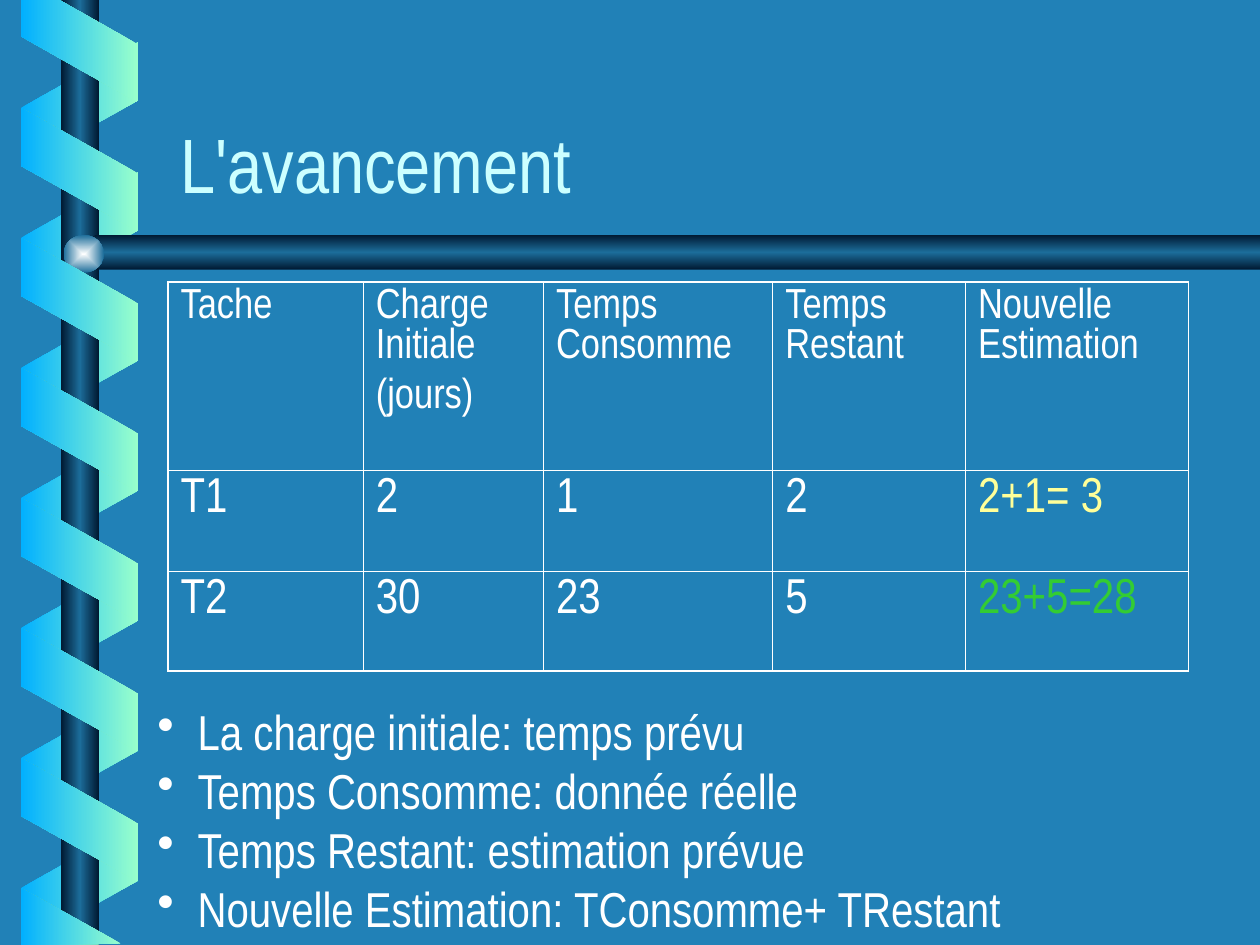
from dataclasses import dataclass

from lxml.etree import SubElement
from pptx import Presentation
from pptx.dml.color import RGBColor
from pptx.enum.shapes import MSO_SHAPE
from pptx.enum.text import MSO_ANCHOR, PP_ALIGN
from pptx.oxml.ns import qn
from pptx.util import Emu, Inches, Pt

# The slide is a grid of 100 columns by 75 rows
WIDTH, HEIGHT = Inches(10), Inches(7.5)
COLUMNS, ROWS = 100, 75

FONT = "Arial Narrow"
WHITE, PALE_CYAN, YELLOW, GREEN = "FFFFFF", "CCFFFF", "FFFF99", "33CC33"
BACKGROUND = "2181B7"
BLUE_TO_MINT = ("01B0FF", "99FFCC")
MINT_TO_BLUE = ("99FFCC", "01B0FF")
METAL = ("001932", "1C6D9A", "001932")
GLOW = ("FEFFFF", "1C6D9A")
THICK, THIN = 1.08, 0.45


@dataclass(frozen=True)
class Area:
    left: float
    top: float
    width: float
    height: float

    def emu(self) -> tuple:
        return across(self.left), down(self.top), across(self.width), down(self.height)


@dataclass(frozen=True)
class Ribbon:
    """Equal bands of the spiral, one turn apart."""
    first_top: float
    count: int
    rotation: int
    flipped: bool
    colors: tuple


@dataclass(frozen=True)
class Entry:
    lines: tuple
    size: int = 28
    color: str = WHITE


BACK_RIBBON = Ribbon(3.62, 7, 90, True, BLUE_TO_MINT)
FRONT_RIBBON = Ribbon(8.8, 6, 270, False, MINT_TO_BLUE)
TURN = 10.32

TOP_END = [(1.7, 0), (1.7, 2.9), (10.9, 8.1), (10.9, 3.5), (4.7, 0)]
BOTTOM_END = [(9.6, 74.9), (1.7, 70.5), (1.7, 75)]
BAR = [(100, 18.65), (7.6, 18.65), (6, 20), (7.6, 21.4), (100, 21.4)]

COLUMN_WIDTHS = (15.5, 14.3, 18.2, 15.3, 17.7)
ROW_HEIGHTS = (15, 8, 7.9)
HEADINGS = (("Tache",), ("Charge Initiale", "(jours)"), ("Temps Consomme",),
            ("Temps Restant",), ("Nouvelle Estimation",))
ENTRIES = (
    [Entry(lines, 24) for lines in HEADINGS],
    [Entry((value,)) for value in ("T1", "2", "1", "2")] + [Entry(("2+1= 3",), color=YELLOW)],
    [Entry((value,)) for value in ("T2", "30", "23", "5")] + [Entry(("23+5=28",), color=GREEN)],
)
DEFINITIONS = ("La charge initiale: temps prévu", "Temps Consomme: donnée réelle",
               "Temps Restant: estimation prévue", "Nouvelle Estimation: TConsomme+ TRestant")


def across(columns: float) -> Emu:
    return Emu(round(WIDTH * columns / COLUMNS))


def down(rows: float) -> Emu:
    return Emu(round(HEIGHT * rows / ROWS))


def rgb(color: str) -> RGBColor:
    return RGBColor.from_string(color)


def paint_gradient(shape, colors: tuple, angle: int = 180, radial: bool = False) -> None:
    shape.shadow.inherit = False
    shape.line.fill.background()
    shape.fill.background()
    properties = shape._element.spPr
    empty_fill = properties.find(qn("a:noFill"))
    gradient = SubElement(properties, qn("a:gradFill"), rotWithShape="0")
    properties.replace(empty_fill, gradient)
    stops = SubElement(gradient, qn("a:gsLst"))
    for index, color in enumerate(colors):
        position = 100000 * index // (len(colors) - 1)
        stop = SubElement(stops, qn("a:gs"), pos=str(position))
        SubElement(stop, qn("a:srgbClr"), val=color)
    if radial:
        center = SubElement(gradient, qn("a:path"), path="rect")
        SubElement(center, qn("a:fillToRect"), l="50000", t="50000", r="50000", b="50000")
    else:
        SubElement(gradient, qn("a:lin"), ang=str(angle * 60000), scaled="0")


def draw_outline(page, points: list, colors: tuple, angle: int = 180) -> None:
    corners = [(across(x), down(y)) for x, y in points]
    builder = page.shapes.build_freeform(*corners[0], scale=1.0)
    builder.add_line_segments(corners[1:], close=True)
    paint_gradient(builder.convert_to_shape(), colors, angle)


def draw_ribbon(page, ribbon: Ribbon) -> None:
    for turn in range(ribbon.count):
        area = Area(1.4, ribbon.first_top + turn * TURN, 9.8, 9.3)
        band = page.shapes.add_shape(MSO_SHAPE.PARALLELOGRAM, *area.emu())
        band.adjustments[0] = 0.56
        band.rotation = ribbon.rotation
        if ribbon.flipped:
            band._element.spPr.xfrm.set("flipH", "1")
        paint_gradient(band, ribbon.colors)


def draw_spiral(page) -> None:
    draw_ribbon(page, BACK_RIBBON)
    pole = page.shapes.add_shape(MSO_SHAPE.RECTANGLE, *Area(4.85, 0, 3, 75).emu())
    paint_gradient(pole, METAL)
    draw_outline(page, BAR, METAL, 90)
    knob = page.shapes.add_shape(MSO_SHAPE.OVAL, *Area(5.05, 18.65, 3.2, 3).emu())
    paint_gradient(knob, GLOW, radial=True)
    draw_ribbon(page, FRONT_RIBBON)
    for end in (TOP_END, BOTTOM_END):
        draw_outline(page, end, MINT_TO_BLUE)


def add_span(para, text: str, size: int, color: str) -> None:
    span = para.add_run()
    span.text = text
    span.font.name = FONT
    span.font.size = Pt(size)
    span.font.color.rgb = rgb(color)


def write_title(page) -> None:
    title = page.shapes.title
    title.left, title.top, title.width, title.height = Area(13.3, 4.6, 85, 12.5).emu()
    title.text_frame.vertical_anchor = MSO_ANCHOR.BOTTOM
    para = title.text_frame.paragraphs[0]
    para.alignment = PP_ALIGN.LEFT
    add_span(para, "L'avancement", 44, PALE_CYAN)


def set_borders(cell, row: int, column: int) -> None:
    """Thick lines around the table, thin lines inside."""
    outer = {"lnL": column == 0, "lnR": column == len(COLUMN_WIDTHS) - 1,
             "lnT": row == 0, "lnB": row == len(ROW_HEIGHTS) - 1}
    properties = cell._tc.get_or_add_tcPr()
    for side, is_outer in outer.items():
        width = Pt(THICK if is_outer else THIN)
        line = SubElement(properties, qn(f"a:{side}"), w=str(width))
        SubElement(SubElement(line, qn("a:solidFill")), qn("a:srgbClr"), val=WHITE)


def draw_table(page) -> None:
    area = Area(13.33, 22.36, sum(COLUMN_WIDTHS), sum(ROW_HEIGHTS))
    table = page.shapes.add_table(len(ROW_HEIGHTS), len(COLUMN_WIDTHS), *area.emu()).table
    table.first_row = table.horz_banding = False
    for column, width in zip(table.columns, COLUMN_WIDTHS):
        column.width = across(width)
    for row, height in zip(table.rows, ROW_HEIGHTS):
        row.height = down(height)
    for row, entries in enumerate(ENTRIES):
        for column, entry in enumerate(entries):
            cell = table.cell(row, column)
            set_borders(cell, row, column)
            cell.fill.background()
            for index, line in enumerate(entry.lines):
                frame = cell.text_frame
                para = frame.add_paragraph() if index else frame.paragraphs[0]
                if index:
                    para.space_before = Pt(6)
                add_span(para, line, entry.size, entry.color)


def write_definitions(page) -> None:
    frame = page.shapes.add_textbox(*Area(11.5, 55.2, 88.5, 19.7).emu()).text_frame
    frame.word_wrap = True
    for index, definition in enumerate(DEFINITIONS):
        para = frame.add_paragraph() if index else frame.paragraphs[0]
        properties = para._p.get_or_add_pPr()
        properties.set("marL", str(across(3.2)))
        properties.set("indent", str(-across(3.2)))
        SubElement(SubElement(properties, qn("a:buClr")), qn("a:srgbClr"), val=WHITE)
        SubElement(properties, qn("a:buChar"), char="•")
        add_span(para, definition, 28, WHITE)


def main() -> None:
    deck = Presentation()
    deck.slide_width, deck.slide_height = WIDTH, HEIGHT
    page = deck.slides.add_slide(deck.slide_layouts[5])
    page.background.fill.solid()
    page.background.fill.fore_color.rgb = rgb(BACKGROUND)
    draw_spiral(page)
    write_title(page)
    draw_table(page)
    write_definitions(page)
    deck.save("out.pptx")


if __name__ == "__main__":
    main()
